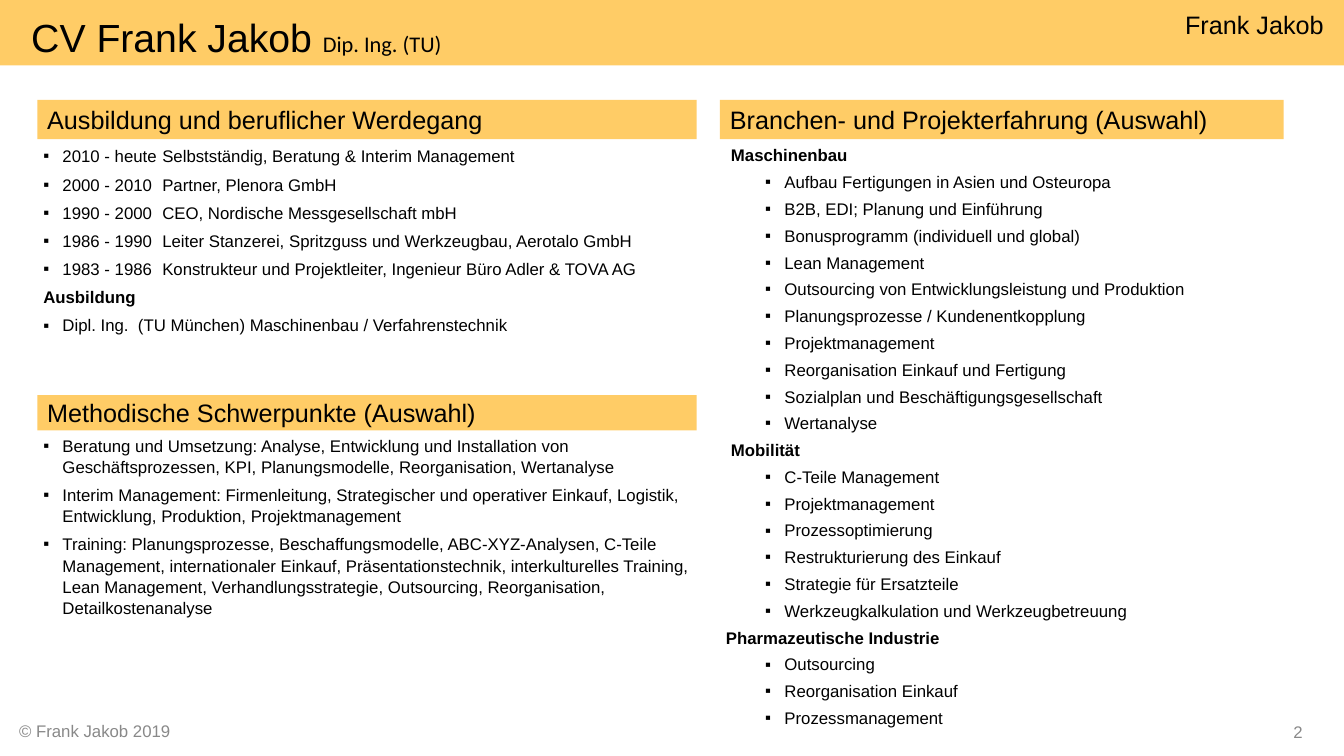
from dataclasses import dataclass

from lxml import etree
from pptx import Presentation
from pptx.dml.color import RGBColor
from pptx.enum.shapes import MSO_SHAPE
from pptx.enum.text import MSO_ANCHOR, PP_ALIGN
from pptx.oxml.ns import qn
from pptx.util import Pt

RECTANGLE = MSO_SHAPE.RECTANGLE
TOP, MIDDLE = MSO_ANCHOR.TOP, MSO_ANCHOR.MIDDLE
LEFT, RIGHT = PP_ALIGN.LEFT, PP_ALIGN.RIGHT

PX = 9144  # 100 px to the inch
AMBER, BLACK, GREY = "FFCC66", "000000", "898989"
BODY_INSETS = (6, 4, 2, 4)
DEFAULT_INSETS = (10, 5, 10, 5)
HANG = 19
TAB_STOP = 118


@dataclass
class Box:
    left: int
    top: int
    width: int
    height: int


@dataclass
class Item:
    text: str
    indent: int = HANG
    bullet: bool = True


@dataclass
class Section:
    heading: str
    band: Box
    body: Box
    items: list[Item]
    space_after: int
    tabbed: bool


def px(length: int) -> int:
    return length * PX


def colour(value: str) -> RGBColor:
    return RGBColor.from_string(value)


def style(span, size: int, value: str = BLACK, name: str = "Arial", bold: bool = False) -> None:
    span.font.size = Pt(size)
    span.font.name = name
    span.font.bold = bold
    span.font.color.rgb = colour(value)


def set_frame(frame, insets: tuple[int, ...], anchor, wrap: bool = True) -> None:
    frame.margin_left, frame.margin_top, frame.margin_right, frame.margin_bottom = map(px, insets)
    frame.vertical_anchor = anchor
    frame.word_wrap = wrap


def add_text(page, box: Box, insets: tuple[int, ...], anchor=TOP, wrap: bool = True):
    shape = page.shapes.add_textbox(*map(px, (box.left, box.top, box.width, box.height)))
    set_frame(shape.text_frame, insets, anchor, wrap)
    return shape.text_frame


def add_band(page, box: Box, text: str, insets=DEFAULT_INSETS, anchor=MIDDLE, align=LEFT) -> None:
    shape = page.shapes.add_shape(RECTANGLE, *map(px, (box.left, box.top, box.width, box.height)))
    shape.shadow.inherit = False
    shape.fill.solid()
    shape.fill.fore_color.rgb = colour(AMBER)
    shape.line.fill.background()
    frame = shape.text_frame
    set_frame(frame, insets, anchor)
    frame.text = text
    para = frame.paragraphs[0]
    para.alignment = align
    style(para.runs[0], 18)


def format_item(para, item: Item, section: Section) -> None:
    para.text = item.text
    para.alignment = LEFT
    para.line_spacing = 1.05
    para.space_before = Pt(2)
    para.space_after = Pt(section.space_after)
    style(para.runs[0], 12, bold=not item.bullet)
    properties = para._p.get_or_add_pPr()
    properties.set("marL", str(px(item.indent)))
    properties.set("indent", str(px(-HANG if item.bullet else 0)))
    if item.bullet:
        etree.SubElement(properties, qn("a:buFont")).set("typeface", "Arial")
        etree.SubElement(properties, qn("a:buChar")).set("char", "▪")
    if section.tabbed:
        tabs = etree.SubElement(properties, qn("a:tabLst"))
        etree.SubElement(tabs, qn("a:tab"), pos=str(px(TAB_STOP)), algn="l")


def add_section(page, section: Section) -> None:
    add_band(page, section.band, section.heading)
    frame = add_text(page, section.body, BODY_INSETS)
    for index, item in enumerate(section.items):
        para = frame.add_paragraph() if index else frame.paragraphs[0]
        format_item(para, item, section)


def add_footer(page, box: Box, text: str) -> None:
    frame = add_text(page, box, DEFAULT_INSETS, wrap=False)
    frame.text = text
    style(frame.paragraphs[0].runs[0], 12, GREY)


def industry(name: str, indent: int, topics: list[str]) -> list[Item]:
    return [Item(name, indent, False)] + [Item(topic, 58) for topic in topics]


# Content
CAREER = [
    ("2010 - heute", "Selbstständig, Beratung & Interim Management"),
    ("2000 - 2010", "Partner, Plenora GmbH"),
    ("1990 - 2000", "CEO, Nordische Messgesellschaft mbH"),
    ("1986 - 1990", "Leiter Stanzerei, Spritzguss und Werkzeugbau, Aerotalo GmbH"),
    ("1983 - 1986", "Konstrukteur und Projektleiter, Ingenieur Büro Adler & TOVA AG"),
]
METHODS = [
    "Beratung und Umsetzung: Analyse, Entwicklung und Installation von Geschäftsprozessen, "
    "KPI, Planungsmodelle, Reorganisation, Wertanalyse",
    "Interim Management: Firmenleitung, Strategischer und operativer Einkauf, Logistik, "
    "Entwicklung, Produktion, Projektmanagement",
    "Training: Planungsprozesse, Beschaffungsmodelle, ABC-XYZ-Analysen, C-Teile Management, "
    "internationaler Einkauf, Präsentationstechnik, interkulturelles Training, Lean Management, "
    "Verhandlungsstrategie, Outsourcing, Reorganisation, Detailkostenanalyse",
]
MACHINERY = [
    "Aufbau Fertigungen in Asien und Osteuropa",
    "B2B, EDI; Planung und Einführung",
    "Bonusprogramm (individuell und global)",
    "Lean Management",
    "Outsourcing von Entwicklungsleistung und Produktion",
    "Planungsprozesse / Kundenentkopplung",
    "Projektmanagement",
    "Reorganisation Einkauf und Fertigung",
    "Sozialplan und Beschäftigungsgesellschaft",
    "Wertanalyse",
]
MOBILITY = [
    "C-Teile Management", "Projektmanagement", "Prozessoptimierung",
    "Restrukturierung des Einkauf", "Strategie für Ersatzteile",
    "Werkzeugkalkulation und Werkzeugbetreuung",
]
PHARMA = ["Outsourcing", "Reorganisation Einkauf", "Prozessmanagement"]

SECTIONS = [
    Section("Ausbildung und beruflicher Werdegang", Box(37, 99, 654, 39), Box(37, 140, 654, 196),
            [Item("\t".join(entry)) for entry in CAREER]
            + [Item("Ausbildung", 0, False),
               Item("Dipl. Ing.  (TU München) Maschinenbau / Verfahrenstechnik")], 3, True),
    Section("Methodische Schwerpunkte (Auswahl)", Box(37, 392, 654, 35), Box(37, 427, 654, 206),
            [Item(method) for method in METHODS], 3, True),
    Section("Branchen- und Projekterfahrung (Auswahl)", Box(714, 99, 559, 39),
            Box(714, 139, 559, 559),
            industry("Maschinenbau", 5, MACHINERY) + industry("Mobilität", 5, MOBILITY)
            + industry("Pharmazeutische Industrie", 0, PHARMA), 2, False),
]


def main() -> None:
    deck = Presentation()
    deck.slide_width, deck.slide_height = px(1333), px(750)
    page = deck.slides.add_slide(deck.slide_layouts[6])

    # Header bar and footer
    add_band(page, Box(0, -3, 1333, 68), "Frank Jakob", (0, 12, 20, 0), TOP, RIGHT)
    add_footer(page, Box(9, 710, 172, 30), "© Frank Jakob 2019")
    add_footer(page, Box(1273, 711, 53, 30), "2")

    # Title
    title = add_text(page, Box(31, 0, 1029, 68), (0, 0, 0, 0), MIDDLE).paragraphs[0]
    for text, size, name in (("CV Frank Jakob ", 28, "Arial"),
                             ("Dip. Ing. (TU)", 16, "Calibri"), (" ", 32, "Calibri")):
        span = title.add_run()
        span.text = text
        style(span, size, name=name)

    # Sections
    for section in SECTIONS:
        add_section(page, section)
    deck.save("out.pptx")


if __name__ == "__main__":
    main()
